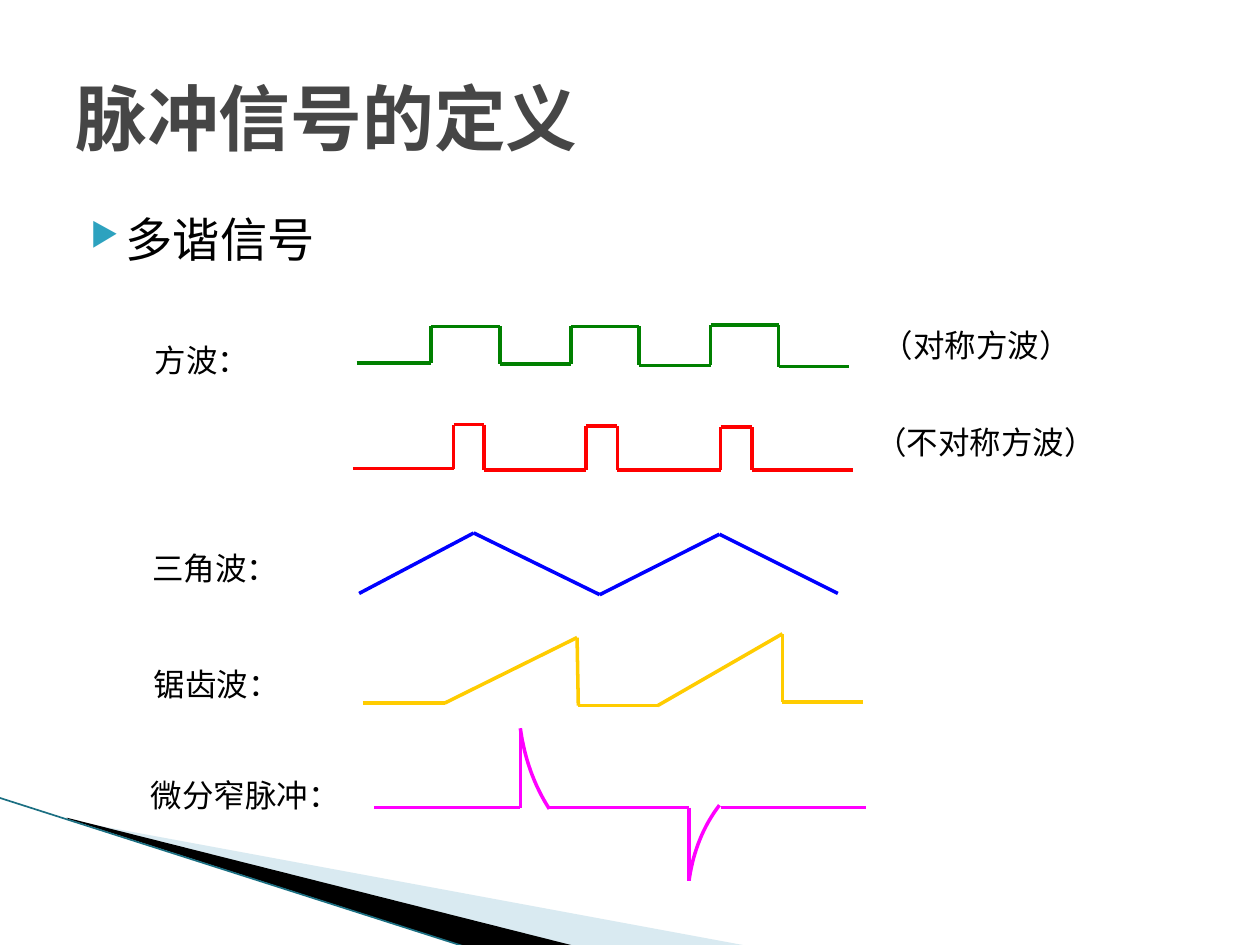
from itertools import pairwise

from lxml import etree
from pptx import Presentation
from pptx.dml.color import RGBColor
from pptx.enum import shapes as shape_enum, text as text_enum
from pptx.oxml import ns
from pptx.util import Inches, Pt

COLORS = {
    "title": "464646", "text": "000000", "bullet": "2DA2BF",
    "pale": "A0CBDC", "black": "000000", "edge": "1B6F82",
    "symmetric": "008000", "asymmetric": "FF0000", "triangle": "0000FF",
    "sawtooth": "FFCC00", "spike": "FF00FF",
}
LATIN, CJK = "Courier New", "Noto Sans CJK SC"
LABELS = [
    ("三角波：", (1.11, 4.31, 1.58, 0.5), CJK),
    ("锯齿波：", (1.12, 5.23, 1.75, 0.5), CJK),
    ("微分窄脉冲：", (1.1, 6.11, 2.44, 0.5), CJK),
    ("（不对称方波）", (6.85, 3.31, 2.56, 0.5), CJK),
    ("（对称方波）", (6.9, 2.54, 2.33, 0.5), LATIN),
]


def rgb(name):
    return RGBColor.from_string(COLORS[name])


def child(parent, tag, **attributes):
    return etree.SubElement(parent, ns.qn(tag), **attributes)


def add_text(slide, words, box, size, color="text", font=LATIN, bold=False, anchor="TOP"):
    frame = slide.shapes.add_textbox(*map(Inches, box)).text_frame
    frame.word_wrap = True
    frame.vertical_anchor = getattr(text_enum.MSO_ANCHOR, anchor)
    paragraph = frame.paragraphs[0]
    run = paragraph.add_run()
    run.text = words
    for name, value in {"size": Pt(size), "bold": bold, "name": font}.items():
        setattr(run.font, name, value)
    run.font.color.rgb = rgb(color)
    child(run.font._element, "a:ea", typeface=CJK)
    return paragraph


def indent(paragraph, margin, first):
    properties = paragraph._p.get_or_add_pPr()
    properties.set("marL", str(Inches(margin)))
    properties.set("indent", str(Inches(first)))
    return properties


def add_bullet(paragraph):
    paragraph.space_before = Pt(4)
    properties = indent(paragraph, 0.4, -0.28)
    child(child(properties, "a:buClr"), "a:srgbClr", val=COLORS["bullet"])
    child(properties, "a:buSzPct", val="68000")
    child(properties, "a:buChar", char="▶")


def add_path(slide, points, color, width=2):
    """Join successive points with straight lines."""
    for start, end in pairwise(points):
        line = slide.shapes.add_connector(
            shape_enum.MSO_CONNECTOR.STRAIGHT, *map(Inches, (*start, *end)))
        line.line.color.rgb = rgb(color)
        line.line.width = Pt(width)
        child(line._element.spPr, "a:effectLst")


def add_outline(slide, points, closed):
    start, *rest = [tuple(map(Inches, point)) for point in points]
    builder = slide.shapes.build_freeform(*start)
    builder.add_line_segments(rest, close=closed)
    outline = builder.convert_to_shape()
    outline.shadow.inherit = False
    return outline


def add_wedge(slide, points, color, opacity=100):
    wedge = add_outline(slide, points, True)
    wedge.fill.solid()
    wedge.fill.fore_color.rgb = rgb(color)
    wedge.line.fill.background()
    if opacity < 100:
        fill_color = wedge._element.spPr.find(".//" + ns.qn("a:srgbClr"))
        child(fill_color, "a:alpha", val=str(opacity * 1000))


def add_decay(slide, start, control, end, color, steps=16):
    """Draw a quadratic curve from start to end."""
    fractions = [step / steps for step in range(steps + 1)]
    points = [
        tuple((1 - t) ** 2 * a + 2 * t * (1 - t) * b + t ** 2 * c
              for a, b, c in zip(start, control, end))
        for t in fractions
    ]
    curve = add_outline(slide, points, False)
    curve.fill.background()
    curve.line.color.rgb = rgb(color)
    curve.line.width = Pt(2)


def add_square_wave(slide, edges, levels, color):
    """Hold each level between two neighbouring edges."""
    points = [(x, level) for ends, level in zip(pairwise(edges), levels) for x in ends]
    add_path(slide, points, color)


def add_corner(slide):
    add_wedge(slide, [(0.55, 6.51), (5.95, 7.51), (4.56, 7.51), (0.55, 6.5)], "pale", 40)
    add_wedge(slide, [(0.53, 6.49), (4.57, 7.51), (3.72, 7.52), (0.54, 6.5)], "black")
    add_path(slide, [(-0.01, 6.33), (3.71, 7.52)], "edge", 0.95)


def add_waves(slide):
    add_square_wave(slide, [2.83, 3.42, 3.97, 4.53, 5.07, 5.64, 6.18, 6.74],
                    [2.88, 2.59, 2.89, 2.59, 2.9, 2.58, 2.91], "symmetric")
    add_square_wave(slide, [2.8, 3.6, 3.84, 4.65, 4.9, 5.72, 5.97, 6.77],
                    [3.72, 3.37, 3.73, 3.38, 3.73, 3.39, 3.73], "asymmetric")
    add_path(slide, [(2.85, 4.71), (3.76, 4.23), (4.76, 4.72), (5.71, 4.24), (6.65, 4.71)],
             "triangle")
    add_path(slide, [(2.88, 5.58), (3.53, 5.58), (4.58, 5.06), (4.59, 5.6),
                     (5.22, 5.6), (6.21, 5.03), (6.21, 5.57), (6.85, 5.57)], "sawtooth")
    add_path(slide, [(2.97, 6.41), (4.13, 6.41), (4.13, 5.8)], "spike")
    add_decay(slide, (4.13, 5.78), (4.18, 6.14), (4.36, 6.42), "spike")
    add_path(slide, [(4.36, 6.41), (5.47, 6.41), (5.47, 6.99)], "spike")
    add_decay(slide, (5.47, 6.98), (5.52, 6.64), (5.71, 6.39), "spike")
    add_path(slide, [(5.72, 6.41), (6.87, 6.41)], "spike")


def main():
    deck = Presentation()
    deck.slide_width, deck.slide_height = Inches(10), Inches(7.5)
    slide = deck.slides.add_slide(deck.slide_layouts[6])
    add_corner(slide)
    add_text(slide, "脉冲信号的定义", (0.5, 0.3, 9, 1.25), 41, "title", bold=True,
             anchor="MIDDLE")
    add_bullet(add_text(slide, "多谐信号", (0.5, 1.62, 9, 0.63), 27))
    square_label = add_text(slide, "方波：", (0.83, 2.66, 1.62, 0.5), 18)
    square_label.alignment = text_enum.PP_ALIGN.JUSTIFY
    indent(square_label, 0, 0.3)
    for words, box, font in LABELS:
        add_text(slide, words, box, 18, font=font)
    add_waves(slide)
    deck.save("out.pptx")


if __name__ == "__main__":
    main()
